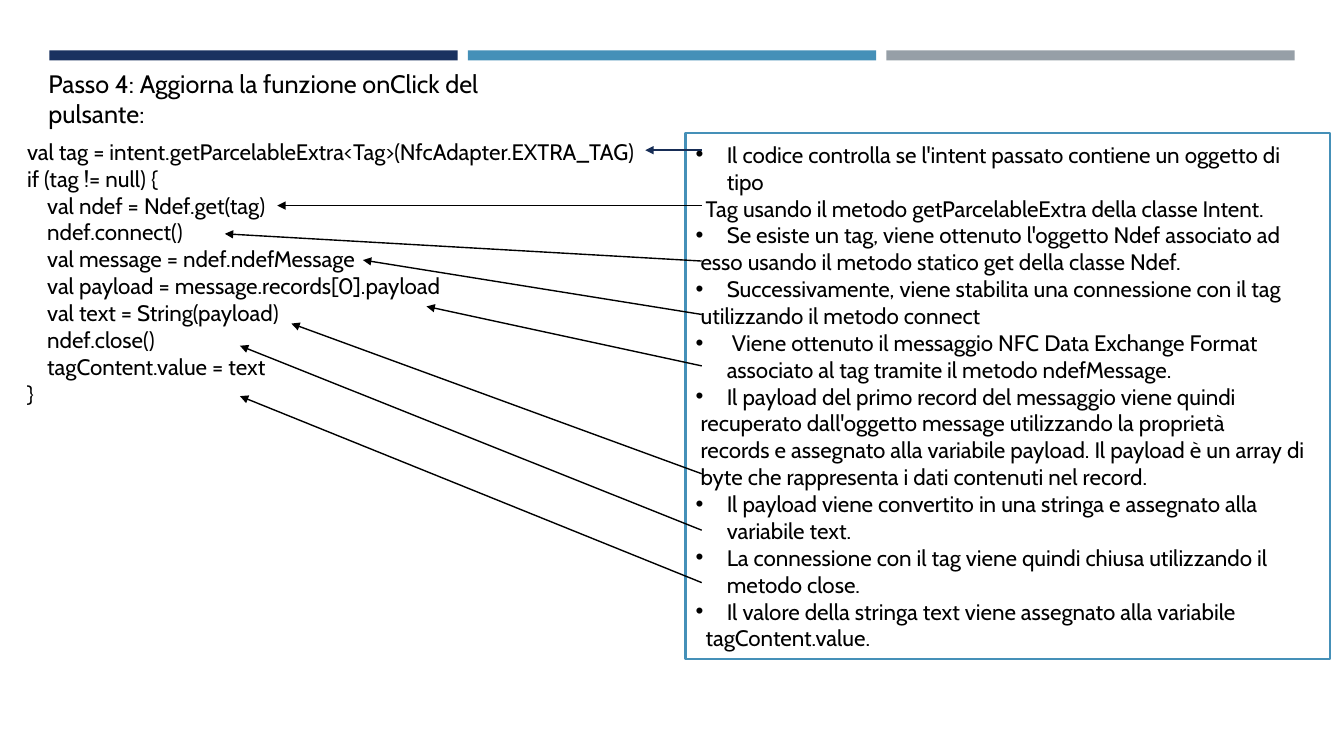
from collections import namedtuple
from dataclasses import dataclass

from lxml import etree
from pptx import Presentation
from pptx import util as u
from pptx.dml.color import RGBColor
from pptx.enum import shapes, text
from pptx.oxml.ns import qn

CELL = u.Inches(0.1)
Box = namedtuple("Box", "column row columns rows")


@dataclass(frozen=True)
class Theme:
    """Hold the colours, font and type sizes of the slide."""

    navy: str = "1A3260"
    blue: str = "4590B8"
    grey: str = "969FA7"
    arrow: str = "172D56"
    ink: str = "000000"
    paper: str = "FFFFFF"
    font: str = "Cabin"
    title: int = 18
    body: int = 16
    border: float = 1.75
    stroke: int = 1


THEME = Theme()
TITLE = "Passo 4: Aggiorna la funzione onClick del pulsante:"
CODE = [
    (0, "val tag = intent.getParcelableExtra<Tag>(NfcAdapter.EXTRA_TAG)"),
    (0, "if (tag != null) {"),
    (2, "val ndef = Ndef.get(tag)"),
    (2, "ndef.connect()"),
    (2, "val message = ndef.ndefMessage"),
    (2, "val payload = message.records[0].payload"),
    (2, "val text = String(payload)"),
    (2, "ndef.close()"),
    (2, "tagContent.value = text"),
    (0, "}"),
]
BULLET = "•"
NOTES = [
    (BULLET, "Il codice controlla se l'intent passato contiene un oggetto di tipo"),
    (1, "Tag usando il metodo getParcelableExtra della classe Intent."),
    (BULLET, "Se esiste un tag, viene ottenuto l'oggetto Ndef associato ad"),
    (0.5, "esso usando il metodo statico get della classe Ndef."),
    (BULLET, "Successivamente, viene stabilita una connessione con il tag"),
    (0.5, "utilizzando il metodo connect"),
    (BULLET, " Viene ottenuto il messaggio NFC Data Exchange Format associato al tag tramite il metodo ndefMessage."),
    (BULLET, "Il payload del primo record del messaggio viene quindi"),
    (0.5, "recuperato dall'oggetto message utilizzando la proprietà"),
    (0.5, "records e assegnato alla variabile payload. Il payload è un array di"),
    (0.5, "byte che rappresenta i dati contenuti nel record."),
    (BULLET, "Il payload viene convertito in una stringa e assegnato alla variabile text."),
    (BULLET, "La connessione con il tag viene quindi chiusa utilizzando il metodo close."),
    (BULLET, "Il valore della stringa text viene assegnato alla variabile"),
    (1, "tagContent.value."),
]
ARROWS = [
    (14.9, 64, 14.9, THEME.arrow),
    (20.4, 27.5, 20.4, THEME.ink),
    (25.9, 22.3, 23.2, THEME.ink),
    (31.2, 36, 25.8, THEME.ink),
    (36.3, 42.3, 30.4, THEME.ink),
    (47, 28.9, 32.1, THEME.ink),
    (52.6, 23.8, 34.3, THEME.ink),
    (57.8, 23.8, 39.3, THEME.ink),
]


def cells(*counts):
    """Turn counts of grid cells into lengths."""
    return [u.Emu(round(count * CELL)) for count in counts]


def apply(target, formats):
    """Set each format value on the target."""
    for name, value in formats.items():
        setattr(target, name, value)


def format_frame(frame, anchor):
    """Give a text frame its wrapping, margins and anchor."""
    apply(frame, {
        "word_wrap": True,
        "auto_size": text.MSO_AUTO_SIZE.NONE,
        "vertical_anchor": anchor,
        "margin_left": u.Inches(0.1),
        "margin_right": u.Inches(0.1),
        "margin_top": u.Inches(0.05),
        "margin_bottom": u.Inches(0.05),
    })


def format_paragraph(paragraph, words, size):
    """Write one paragraph in the theme's font."""
    paragraph.alignment = text.PP_ALIGN.LEFT
    run = paragraph.add_run()
    run.text = words
    apply(run.font, {"name": THEME.font, "size": u.Pt(size)})
    run.font.color.rgb = RGBColor.from_string(THEME.ink)


def indent(paragraph, mark):
    """Give a paragraph a hanging bullet or a plain left indent."""
    properties = paragraph._p.get_or_add_pPr()
    margin, = cells(3.1 if mark == BULLET else mark)
    properties.set("marL", str(margin))
    properties.set("indent", str(-margin if mark == BULLET else 0))
    if mark == BULLET:
        etree.SubElement(properties, qn("a:buFont")).set("typeface", "Arial")
        etree.SubElement(properties, qn("a:buChar")).set("char", BULLET)


def write_lines(frame, lines):
    """Fill a text frame with indented or bulleted lines."""
    for index, (mark, words) in enumerate(lines):
        paragraph = frame.add_paragraph() if index else frame.paragraphs[0]
        indent(paragraph, mark)
        format_paragraph(paragraph, words, THEME.body)


def add_rectangle(slide, box, fill):
    """Add a plain filled rectangle without a line."""
    shape = slide.shapes.add_shape(shapes.MSO_SHAPE.RECTANGLE, *cells(*box))
    shape.shadow.inherit = False
    shape.fill.solid()
    shape.fill.fore_color.rgb = RGBColor.from_string(fill)
    shape.line.fill.background()
    return shape


def add_bars(slide, box):
    """Divide the box into three coloured bars with equal gaps."""
    gap = 1
    width = (box.columns - 2 * gap) / 3
    for index, fill in enumerate((THEME.navy, THEME.blue, THEME.grey)):
        column = box.column + index * (width + gap)
        add_rectangle(slide, box._replace(column=column, columns=width), fill)


def add_title(slide, box):
    """Place and format the title placeholder in the box."""
    title = slide.shapes.title
    apply(title, dict(zip(("left", "top", "width", "height"), cells(*box))))
    format_frame(title.text_frame, text.MSO_ANCHOR.TOP)
    format_paragraph(title.text_frame.paragraphs[0], TITLE, THEME.title)


def add_code(slide, box):
    """Write the code listing in the box."""
    frame = slide.shapes.add_textbox(*cells(*box)).text_frame
    format_frame(frame, text.MSO_ANCHOR.TOP)
    write_lines(frame, CODE)


def add_notes(slide, box):
    """Write the explanations in an outlined panel."""
    panel = add_rectangle(slide, box, THEME.paper)
    panel.line.color.rgb = RGBColor.from_string(THEME.blue)
    panel.line.width = u.Pt(THEME.border)
    format_frame(panel.text_frame, text.MSO_ANCHOR.MIDDLE)
    write_lines(panel.text_frame, NOTES)


def add_arrows(slide, box):
    """Link the explanations, from just inside the panel box, to the code."""
    start = box.column + 1.6
    for start_row, end, end_row, color in ARROWS:
        arrow = slide.shapes.add_connector(
            shapes.MSO_CONNECTOR.STRAIGHT, *cells(start, start_row, end, end_row))
        arrow.line.color.rgb = RGBColor.from_string(color)
        arrow.line.width = u.Pt(THEME.stroke)
        etree.SubElement(arrow.line._get_or_add_ln(), qn("a:tailEnd")).set("type", "triangle")
        etree.SubElement(arrow._element.spPr, qn("a:effectLst"))


def main():
    """Build and save the presentation."""
    presentation = Presentation()
    apply(presentation, {"slide_width": u.Inches(13.33), "slide_height": u.Inches(7.5)})
    slide = presentation.slides.add_slide(presentation.slide_layouts[5])
    panel = Box(68, 13.2, 63.9, 52.2)
    add_bars(slide, Box(4.9, 5, 123.5, 1))
    add_title(slide, Box(3.8, 6.3, 53.2, 6.8))
    add_code(slide, Box(1.7, 13.2, 63.3, 28.3))
    add_notes(slide, panel)
    add_arrows(slide, panel)
    presentation.save("out.pptx")


if __name__ == "__main__":
    main()
